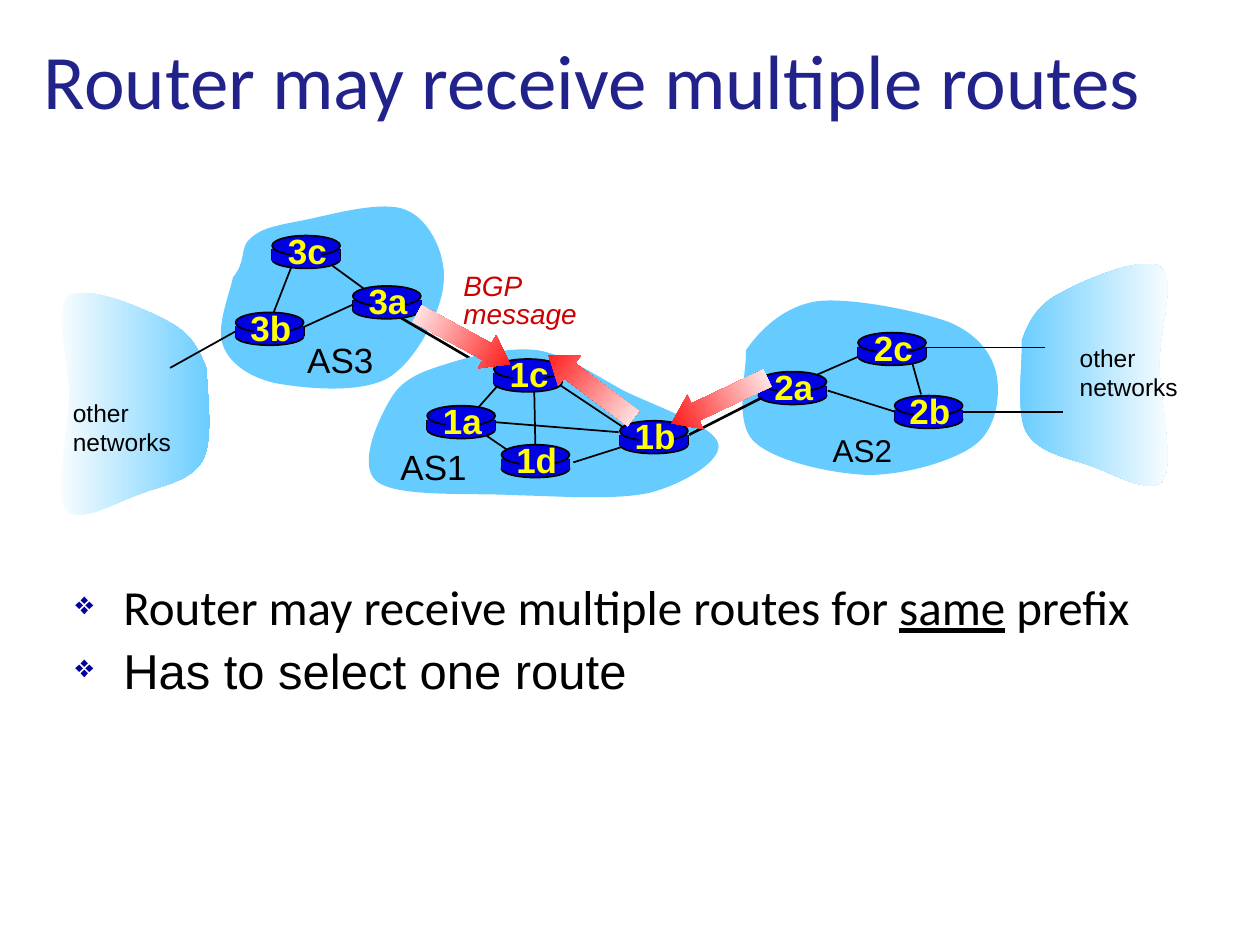
from typing import NamedTuple

from lxml.etree import SubElement
from pptx import Presentation
from pptx.dml.color import RGBColor
from pptx.enum.shapes import MSO_CONNECTOR as CONN, MSO_SHAPE as SHAPE
from pptx.enum.text import MSO_ANCHOR as ANCHOR, MSO_AUTO_SIZE as AUTO, PP_ALIGN as ALIGN
from pptx.oxml.ns import qn
from pptx.util import Pt

PX = 9144  # EMU per px, 100 px to the inch
COLORS = {
    "title": "22228B", "cloud": "66CCFF", "router": "0000E5", "name": "FFFF00",
    "black": "000000", "white": "FFFFFF", "red": "FF0000", "message": "CC0000",
    "bullet": "000099",
}


class Cloud(NamedTuple):
    points: list  # start, then control, control, end for every curve
    fill: tuple


class Link(NamedTuple):
    x1: int
    y1: int
    x2: int
    y2: int
    width: float = 1


class Router(NamedTuple):
    name: str
    x: int
    y: int


class Arrow(NamedTuple):
    x: int
    y: int
    angle: float


class Label(NamedTuple):
    text: str
    x: int
    y: int
    w: int
    h: int
    size: int
    color: str = "black"
    italic: bool = False
    spacing: float = 1.0


RIGHT_NET = Cloud(
    [(811, 270), (817, 254), (824, 241), (843, 232), (861, 222), (908, 202), (921, 212),
     (934, 221), (920, 262), (920, 290), (921, 319), (932, 368), (923, 381), (914, 394),
     (882, 375), (864, 369), (846, 363), (823, 359), (814, 342), (806, 326), (812, 285),
     (811, 270)], ("cloud", "white"))
LEFT_NET = Cloud(
    [(164, 293), (158, 277), (151, 264), (133, 255), (115, 245), (68, 225), (55, 235),
     (42, 244), (55, 285), (55, 313), (55, 341), (43, 391), (52, 404), (62, 417),
     (93, 398), (111, 392), (129, 385), (152, 382), (161, 365), (170, 349), (164, 308),
     (164, 293)], ("white", "cloud"))
AS2 = Cloud(
    [(592, 278), (603, 262), (622, 243), (649, 239), (676, 236), (730, 247), (754, 256),
     (777, 266), (788, 282), (791, 298), (794, 314), (791, 340), (774, 353), (757, 366),
     (718, 377), (689, 377), (660, 376), (614, 366), (598, 350), (582, 334), (593, 293),
     (592, 278)], ("cloud",))
AS3 = Cloud(
    [(185, 220), (196, 207), (190, 196), (199, 189), (208, 181), (219, 179), (240, 175),
     (261, 171), (304, 158), (323, 167), (342, 175), (355, 204), (352, 226), (350, 248),
     (330, 287), (308, 300), (285, 313), (240, 308), (218, 304), (197, 299), (182, 288),
     (177, 274), (171, 260), (183, 231), (185, 220)], ("cloud",))
AS1 = Cloud(
    [(311, 315), (321, 299), (338, 294), (357, 288), (377, 282), (404, 275), (427, 278),
     (450, 282), (471, 297), (495, 310), (519, 322), (567, 338), (570, 352), (574, 365),
     (543, 384), (516, 391), (490, 397), (446, 394), (409, 393), (373, 391), (315, 395),
     (299, 382), (283, 369), (301, 331), (311, 315)], ("cloud",))

LINK_3A_1C = Link(316, 251, 393, 296, 1.5)
LINKS = [
    # AS3
    Link(240, 260, 284, 240), Link(290, 230, 264, 211), Link(232, 210, 216, 251),
    # AS1
    Link(396, 305, 380, 323), Link(424, 309, 425, 359), Link(442, 304, 496, 340),
    Link(496, 354, 455, 367), Link(491, 343, 392, 335), Link(382, 343, 404, 358),
    # AS2
    Link(638, 302, 686, 281), Link(657, 310, 711, 327), Link(724, 288, 731, 313),
    # Between networks
    Link(735, 276, 829, 276, 0.75), Link(763, 327, 844, 327, 0.75),
    Link(187, 263, 135, 292), Link(547, 345, 604, 316, 1.5),
]
ROUTERS = [
    Router("3b", 187, 248), Router("3c", 216, 187), Router("3a", 280, 227),
    Router("1c", 392, 285), Router("1a", 339, 322), Router("1d", 398, 353),
    Router("1b", 492, 334), Router("2a", 602, 295), Router("2c", 681, 264),
    Router("2b", 710, 314),
]
ARROWS = [Arrow(326, 254, 208.5), Arrow(529, 303, 334.7), Arrow(427, 292, 36.9)]
LABELS = [
    Label("AS3", 234, 264, 73, 43, 20),
    Label("AS2", 651, 337, 67, 40, 18),
    Label("AS1", 308, 349, 73, 43, 20),
    Label("other\nnetworks", 847, 267, 98, 57, 14),
    Label("other\nnetworks", 48, 311, 98, 57, 14),
    Label("BGP\nmessage", 358, 212, 110, 56, 16, "message", True, 0.85),
]


def rgb(name: str) -> RGBColor:
    return RGBColor.from_string(COLORS[name])


def emu(*lengths: int) -> list:
    return [v * PX for v in lengths]


def style(sp, fill: tuple, outlined: bool = False) -> None:
    """One colour gives a solid fill, two give a left to right gradient."""
    sp.shadow.inherit = False
    if len(fill) == 1:
        sp.fill.solid()
        sp.fill.fore_color.rgb = rgb(fill[0])
    else:
        sp.fill.gradient()
        sp.fill.gradient_angle = 0
        for stop, name in zip(sp.fill.gradient_stops, fill):
            stop.color.rgb = rgb(name)
    if outlined:
        sp.line.color.rgb = rgb("black")
        sp.line.width = Pt(1)
    else:
        sp.line.fill.background()


def set_font(p, size: int, color: str, name: str = "Arial") -> None:
    for r in p.runs:
        r.font.size, r.font.name, r.font.color.rgb = Pt(size), name, rgb(color)


def draw_cloud(shapes, cloud: Cloud) -> None:
    start, *rest = [tuple(emu(*pt)) for pt in cloud.points]
    fb = shapes.build_freeform(*start)
    fb.add_line_segments(rest, close=True)
    sp = fb.convert_to_shape()
    style(sp, cloud.fill)
    # Join every three straight segments into one Bezier curve
    segments = list(sp._element.iter(qn("a:lnTo")))
    for i in range(0, len(segments), 3):
        first, *others = segments[i:i + 3]
        first.tag = qn("a:cubicBezTo")
        for seg in others:
            first.append(seg[0])
            seg.getparent().remove(seg)


def draw_link(shapes, link: Link) -> None:
    c = shapes.add_connector(CONN.STRAIGHT, *emu(*link[:4]))
    c.line.color.rgb = rgb("black")
    c.line.width = Pt(link.width)
    SubElement(c._element.spPr, qn("a:effectLst"))


def draw_label(shapes, label: Label):
    tf = shapes.add_textbox(*emu(label.x, label.y, label.w, label.h)).text_frame
    tf.word_wrap, tf.auto_size = False, AUTO.SHAPE_TO_FIT_TEXT
    tf.text = label.text
    for p in tf.paragraphs:
        p.line_spacing = label.spacing
        set_font(p, label.size, label.color)
        p.runs[0].font.italic = label.italic
    return tf


def draw_router(shapes, router: Router) -> None:
    g = shapes.add_group_shape().shapes
    x, y = router.x, router.y

    def part(kind, dx: int, dy: int, w: int, h: int, outlined: bool = False) -> None:
        style(g.add_shape(kind, *emu(x + dx, y + dy, w, h)), ("router",), outlined)

    part(SHAPE.OVAL, 0, 12, 54, 14, True)
    for side in (x, x + 54):
        draw_link(g, Link(side, y + 11, side, y + 19))
    part(SHAPE.RECTANGLE, 0, 11, 54, 9)
    part(SHAPE.OVAL, 0, 0, 54, 16, True)
    part(SHAPE.RECTANGLE, 15, 2, 24, 21)
    # The name box is wide enough to keep two bold letters on one line
    tf = draw_label(g, Label(router.name, x - 2, y - 10, 60, 43, 20, "name"))
    tf.margin_left = tf.margin_right = 0
    p = tf.paragraphs[0]
    p.alignment = ALIGN.CENTER
    p.runs[0].font.bold = True


def draw_arrow(shapes, arrow: Arrow) -> None:
    sp = shapes.add_shape(SHAPE.LEFT_ARROW, *emu(arrow.x, arrow.y, 84, 30))
    sp.adjustments[0], sp.adjustments[1] = 0.5, 0.695
    sp.rotation = arrow.angle
    style(sp, ("red", "white"))


def add_bullet(p) -> None:
    pPr = p._p.get_or_add_pPr()
    pPr.set("marL", str(38 * PX))
    pPr.set("indent", str(-38 * PX))
    SubElement(SubElement(pPr, qn("a:buClr")), qn("a:srgbClr"), val=COLORS["bullet"])
    SubElement(pPr, qn("a:buSzPct"), val="65000")
    SubElement(pPr, qn("a:buChar"), char="❖")


def main() -> None:
    prs = Presentation()
    prs.slide_width, prs.slide_height = emu(1000, 750)
    shapes = prs.slides.add_slide(prs.slide_layouts[6]).shapes

    # Title
    tf = shapes.add_textbox(*emu(25, 0, 925, 125)).text_frame
    tf.word_wrap, tf.vertical_anchor = True, ANCHOR.MIDDLE
    tf.text = "Router may receive multiple routes"
    set_font(tf.paragraphs[0], 44, "title", "Calibri")

    # Network diagram: the AS1 cloud covers the end of the 3a-1c link
    for cloud in (RIGHT_NET, AS2, AS3, LEFT_NET):
        draw_cloud(shapes, cloud)
    draw_link(shapes, LINK_3A_1C)
    draw_cloud(shapes, AS1)
    for draw, items in ((draw_link, LINKS), (draw_router, ROUTERS),
                        (draw_arrow, ARROWS), (draw_label, LABELS)):
        for item in items:
            draw(shapes, item)

    # Bullets
    tf = shapes.add_textbox(*emu(50, 458, 875, 259)).text_frame
    tf.word_wrap = True
    first, second = tf.paragraphs[0], tf.add_paragraph()
    for text in ("Router may receive multiple routes for ", "same", " prefix"):
        first.add_run().text = text
    first.runs[1].font.underline = True
    second.text = "Has to select one route"
    second.space_before = Pt(6)
    for p, font in ((first, "Calibri"), (second, "Arial")):
        p.line_spacing = 0.9
        add_bullet(p)
        set_font(p, 28, "black", font)

    prs.save("out.pptx")


if __name__ == "__main__":
    main()
